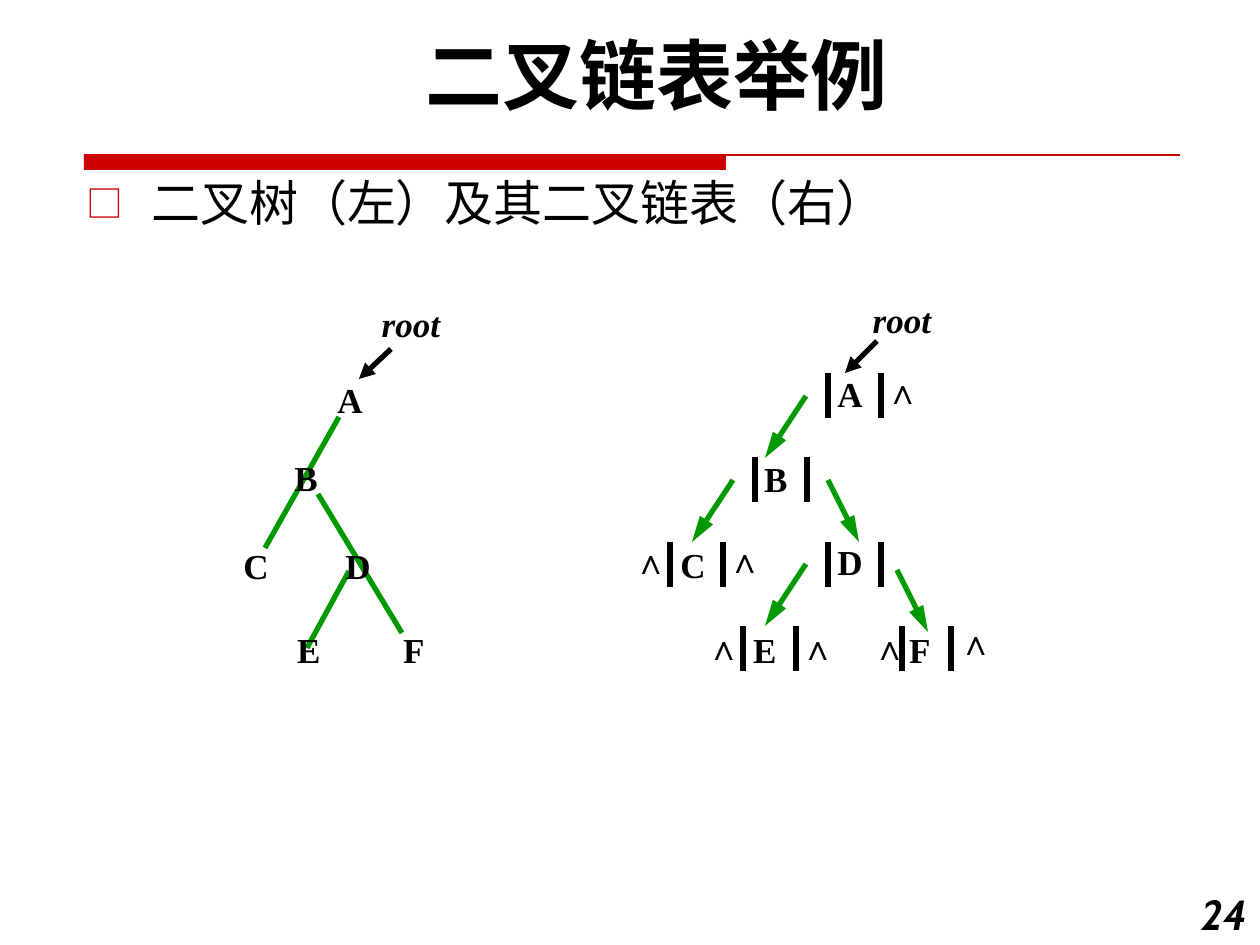
from lxml import etree
from pptx import Presentation
from pptx import util as u
from pptx.dml.color import RGBColor
from pptx.enum import shapes, text
from pptx.oxml.ns import qn

SCALE = 914400 / 126  # EMU in one px
BLACK = RGBColor(0x00, 0x00, 0x00)
RED = RGBColor(0xCC, 0x00, 0x00)
GREEN = RGBColor(0x00, 0x99, 0x00)
SERIF, SANS, CJK = "Times New Roman", "Cabin", "Noto Sans CJK SC"
MID = text.MSO_ANCHOR.MIDDLE
TOP = text.MSO_ANCHOR.TOP
ALIGN = text.PP_ALIGN


def px(n):
    return u.Emu(round(n * SCALE))


def sub(node, tag, **attrs):
    part = etree.SubElement(node, qn(tag))
    for key, val in attrs.items():
        part.set(key, val)
    return part


def write(slide, box, words, align, anchor, wrap=True, bullet=None, **font):
    """Put one paragraph in a text box and return nothing."""
    frame = slide.shapes.add_textbox(*map(px, box)).text_frame
    frame.word_wrap = wrap
    frame.vertical_anchor = anchor
    para = frame.paragraphs[0]
    para.alignment = align
    if bullet:
        props = para._p.get_or_add_pPr()
        props.set("marL", str(px(65)))
        props.set("indent", str(px(-65)))
        sub(sub(props, "a:buClr"), "a:srgbClr", val=str(RED))
        sub(props, "a:buSzPct", val="75000")
        sub(props, "a:buFont", typeface=CJK)
        sub(props, "a:buChar", char=bullet)
    run = para.add_run()
    run.text = words
    run.font.color.rgb = BLACK
    for key, val in font.items():
        setattr(run.font, key, val)
    sub(run._r.get_or_add_rPr(), "a:ea", typeface=CJK)


def label(slide, x, y, words, italic=False):
    """Centre a bold label on a point."""
    wide = 87 if len(words) > 1 else 50
    write(slide, (x - wide / 2, y - 27, wide, 54), words, ALIGN.CENTER, MID,
          wrap=False, name=SERIF, size=u.Pt(20), bold=True, italic=italic)


def line(slide, x1, y1, x2, y2, color, width=3, head=None):
    """Draw a line; head is the arrow length, 'med' or 'lg'."""
    link = slide.shapes.add_connector(
        shapes.MSO_CONNECTOR.STRAIGHT, px(x1), px(y1), px(x2), px(y2))
    link.line.color.rgb = color
    link.line.width = u.Pt(width)
    if head:
        sub(link.line._get_or_add_ln(), "a:tailEnd",
            type="triangle", w="med", len=head)
    sub(link._element.spPr, "a:effectLst")


def header(slide, x, y, w):
    # Title, then the thick and thin rule
    write(slide, (x - 10, y - 134, w + 69, 106), "二叉链表举例", ALIGN.CENTER, MID,
          name=SANS, size=u.Pt(44), bold=True)
    bar = slide.shapes.add_shape(
        shapes.MSO_SHAPE.RECTANGLE, px(x), px(y), px(642), px(15))
    bar.shadow.inherit = False
    bar.fill.solid()
    bar.fill.fore_color.rgb = RED
    bar.line.fill.background()
    line(slide, x, y, x + w, y, RED, 0.75)


def tree(slide, x, y):
    # Edges below, node letters above
    edges = [(119, 275, 77, 352), (88, 198, 172, 337), (109, 121, 35, 252)]
    for x1, y1, x2, y2 in edges:
        line(slide, x + x1, y + y1, x + x2, y + y2, GREEN)
    nodes = {"A": (120, 103), "B": (76, 181), "C": (26, 269),
             "D": (128, 269), "E": (79, 353), "F": (184, 353)}
    for name, (dx, dy) in nodes.items():
        label(slide, x + dx, y + dy, name)
    # Root pointer
    label(slide, x + 181, y + 27, "root", italic=True)
    line(slide, x + 161, y + 53, x + 129, y + 83, BLACK, head="med")


def cell(slide, x, y, w, name, at, nulls):
    """A node between two bars, with a mark at each null pointer."""
    for side in (x, x + w):
        line(slide, side, y, side, y + 45, BLACK)
    label(slide, x + at[0], y + at[1], name)
    for dx, dy in nulls:
        label(slide, x + dx, y + dy, "∧")


def links(slide, x, y):
    # Pointers to left and right children
    left = [(184, 104), (111, 188), (184, 272)]
    right = [(206, 188), (275, 278)]
    for starts, step in ((left, -41), (right, 31)):
        for dx, dy in starts:
            line(slide, x + dx, y + dy, x + dx + step, y + dy + 62,
                 GREEN, head="lg")
    # Cells: name, left, row, width, letter offset, null offsets
    cells = [
        ("A", 206, 0, 53, (22, 20), [(70, 17)]),
        ("B", 133, 1, 52, (21, 21), []),
        ("C", 48, 2, 53, (23, 23), [(-24, 19), (70, 18)]),
        ("D", 206, 2, 53, (22, 20), []),
        ("E", 121, 3, 53, (22, 23), [(-24, 20), (70, 20)]),
        ("F", 280, 3, 49, (18, 23), [(-17, 20), (69, 15)]),
    ]
    for name, dx, row, w, at, nulls in cells:
        cell(slide, x + dx, y + 81 + row * 84.4, w, name, at, nulls)
    # Root pointer
    label(slide, x + 280, y + 27, "root", italic=True)
    line(slide, x + 255, y + 49, x + 223, y + 81, BLACK, head="med")


def main():
    deck = Presentation()
    deck.slide_width, deck.slide_height = px(1260), px(945)
    slide = deck.slides.add_slide(deck.slide_layouts[6])
    header(slide, 84, 155, 1096)
    write(slide, (74, 166, 1207, 82), "二叉树（左）及其二叉链表（右）", ALIGN.LEFT, TOP,
          bullet="□", name=CJK, size=u.Pt(28))
    tree(slide, 230, 296)
    links(slide, 622, 292)
    # Page number
    write(slide, (1176, 882, 84, 63), "24", ALIGN.RIGHT, TOP,
          name=SANS, size=u.Pt(24), bold=True, italic=True)
    deck.save("out.pptx")


if __name__ == "__main__":
    main()
